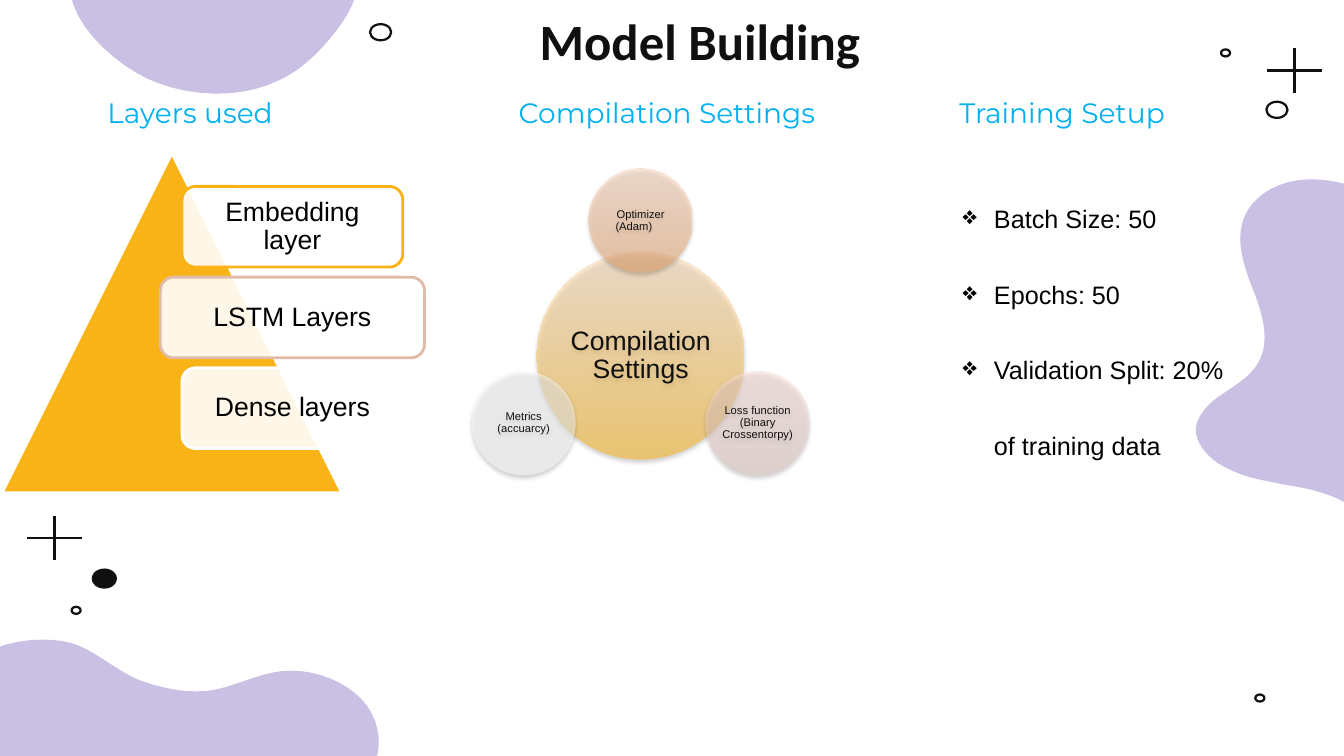
from dataclasses import dataclass
from math import cos, radians, sin

from lxml.etree import SubElement
from pptx import Presentation
from pptx.dml.color import RGBColor
from pptx.enum.shapes import MSO_CONNECTOR, MSO_SHAPE
from pptx.enum.text import MSO_ANCHOR, MSO_AUTO_SIZE, PP_ALIGN
from pptx.oxml.ns import qn
from pptx.util import Inches, Pt

COLUMNS, ROWS = 13.33, 7.5  # the grid has cells of one inch


@dataclass(frozen=True)
class Theme:
    ink: str = "111010"
    black: str = "000000"
    white: str = "FFFFFF"
    lilac: str = "CAC0E4"
    heading: str = "00B0F0"
    amber: str = "FAB316"
    rose: str = "E0BBA7"
    hub: tuple = ("FFB511", "FFDDBA")
    optimizer: tuple = ("F2AA6E", "FFD8BE")
    loss: tuple = ("E8CEC7", "FFE2DA")
    title_size: float = 36.3
    heading_size: float = 20
    label_size: float = 19
    body_size: float = 18
    small_size: float = 8
    stroke: float = 1.6
    border: float = 2
    title_font: str = "Calibri"
    heading_font: str = "Montserrat"
    body_font: str = "Arial"


@dataclass(frozen=True)
class Box:
    left: float
    top: float
    width: float
    height: float

    def inner(self, left, top, width, height):
        return Box(self.left + left, self.top + top, width, height)

    def lengths(self):
        return [Inches(value) for value in (self.left, self.top, self.width, self.height)]


THEME = Theme()


def rgb(value):
    return RGBColor.from_string(value)


def add_text(paragraph, text, size, font, color, bold=False):
    run = paragraph.add_run()
    run.text = text
    run.font.size, run.font.name, run.font.bold = Pt(size), font, bold
    run.font.color.rgb = rgb(color)


def set_margins(frame, inches):
    frame.margin_left = frame.margin_right = Inches(inches)
    frame.margin_top = frame.margin_bottom = Inches(inches)


def add_plain_shape(slide, kind, box, fill=None, line=None, width=0):
    shape = slide.shapes.add_shape(kind, *box.lengths())
    shape.shadow.inherit = False
    if fill:
        shape.fill.solid()
        shape.fill.fore_color.rgb = rgb(fill)
    else:
        shape.fill.background()
    if line:
        shape.line.color.rgb = rgb(line)
        shape.line.width = Pt(width)
    else:
        shape.line.fill.background()
    return shape


def set_opacity(shape, percent):
    fill = shape._element.spPr.find(qn("a:gradFill"))
    if fill is None:
        fill = shape._element.spPr.find(qn("a:solidFill"))
    for color in fill.iter(qn("a:srgbClr")):
        SubElement(color, qn("a:alpha"), val=str(percent * 1000))


def label(shape, text, size, color, margin):
    frame = shape.text_frame
    frame.word_wrap, frame.vertical_anchor = True, MSO_ANCHOR.MIDDLE
    set_margins(frame, margin)
    paragraph = frame.paragraphs[0]
    paragraph.alignment, paragraph.line_spacing = PP_ALIGN.CENTER, 0.9
    add_text(paragraph, text, size, THEME.body_font, color)


# Background decoration
def add_blob(slide, start, curves, steps=10):
    points, here = [], start
    for x1, y1, x2, y2, x3, y3 in curves:
        for step in range(1, steps + 1):
            t = step / steps
            weights = ((1 - t) ** 3, 3 * t * (1 - t) ** 2, 3 * t * t * (1 - t), t ** 3)
            xs, ys = (here[0], x1, x2, x3), (here[1], y1, y2, y3)
            points.append(tuple(Inches(sum(w * v for w, v in zip(weights, axis))) for axis in (xs, ys)))
        here = (x3, y3)
    builder = slide.shapes.build_freeform(Inches(start[0]), Inches(start[1]), scale=1.0)
    builder.add_line_segments(points, close=True)
    blob = builder.convert_to_shape()
    blob.shadow.inherit = False
    blob.fill.solid()
    blob.fill.fore_color.rgb = rgb(THEME.lilac)
    blob.line.fill.background()


def add_cross(slide, x, y, width=0.55, height=0.44):
    for dx, dy in ((width / 2, 0), (0, height / 2)):
        ends = [Inches(value) for value in (x - dx, y - dy, x + dx, y + dy)]
        line = slide.shapes.add_connector(MSO_CONNECTOR.STRAIGHT, *ends)
        line.line.color.rgb = rgb(THEME.ink)
        line.line.width = Pt(THEME.stroke)
        SubElement(line._element.spPr, qn("a:effectLst"))


def add_decoration(slide, box):
    add_blob(slide, (1.46, 0.78), [
        (1.85, 0.96, 2.37, 0.99, 2.76, 0.8), (2.96, 0.71, 3.12, 0.56, 3.25, 0.41),
        (3.45, 0.18, 3.8, -0.33, 3.24, -0.37), (3.08, -0.38, 2.56, -0.43, 2.03, -0.45),
        (1.39, -0.46, 0.73, -0.42, 0.7, -0.19), (0.65, 0.18, 1.09, 0.6, 1.46, 0.78)])
    add_blob(slide, (14.12, 3.2), [
        (14.1, 2.96, 14.16, 2.71, 14.09, 2.48), (14.03, 2.28, 13.89, 2.1, 13.69, 1.97),
        (13.49, 1.85, 13.21, 1.77, 12.97, 1.78), (12.65, 1.79, 12.38, 1.97, 12.32, 2.22),
        (12.26, 2.45, 12.36, 2.7, 12.45, 2.93), (12.54, 3.17, 12.6, 3.43, 12.46, 3.63),
        (12.38, 3.75, 12.24, 3.83, 12.11, 3.92), (11.99, 4, 11.87, 4.12, 11.86, 4.26),
        (11.86, 4.41, 12, 4.57, 12.18, 4.65), (12.35, 4.74, 12.55, 4.77, 12.75, 4.81),
        (12.94, 4.84, 13.14, 4.88, 13.31, 4.97), (13.43, 5.03, 13.53, 5.12, 13.64, 5.2),
        (13.74, 5.27, 13.86, 5.35, 14, 5.37), (14.14, 5.4, 14.29, 5.36, 14.35, 5.26),
        (14.52, 4.95, 14.59, 4.58, 14.47, 4.24), (14.34, 3.89, 14.15, 3.55, 14.12, 3.2)])
    add_blob(slide, (2.78, 6.66), [
        (3.11, 6.62, 3.47, 6.77, 3.64, 7), (3.81, 7.24, 3.79, 7.55, 3.61, 7.76),
        (3.43, 7.98, 3.09, 8.1, 2.75, 8.08), (2.47, 8.06, 2.21, 7.95, 1.93, 7.92),
        (1.4, 7.88, 0.9, 8.13, 0.37, 8.07), (-0.04, 8.03, -0.42, 7.78, -0.56, 7.46),
        (-0.7, 7.15, -0.59, 6.78, -0.29, 6.56), (-0.06, 6.39, 0.3, 6.31, 0.62, 6.36),
        (0.9, 6.4, 1.13, 6.65, 1.39, 6.75), (1.61, 6.83, 1.86, 6.88, 2.09, 6.85),
        (2.33, 6.81, 2.54, 6.69, 2.78, 6.66)])
    small, large = (0.09, 0.07), (0.21, 0.16)
    for left, top, size in ((12.11, 0.49, small), (12.45, 6.89, small), (0.71, 6.02, small),
                            (3.67, 0.24, large), (12.56, 1.01, large)):
        add_plain_shape(slide, MSO_SHAPE.OVAL, box.inner(left, top, *size), line=THEME.ink, width=THEME.stroke)
    add_plain_shape(slide, MSO_SHAPE.OVAL, box.inner(0.91, 5.64, 0.25, 0.2), THEME.ink)
    for x, y in ((12.84, 0.7), (0.54, 5.34)):
        add_cross(slide, x, y)


# Title and column headings
def add_title(slide, box):
    title = slide.shapes.title
    title.left, title.top, title.width, title.height = box.lengths()
    frame = title.text_frame
    set_margins(frame, 0.12)
    frame.vertical_anchor, frame.auto_size = MSO_ANCHOR.TOP, MSO_AUTO_SIZE.NONE
    paragraph = frame.paragraphs[0]
    paragraph.alignment = PP_ALIGN.CENTER
    add_text(paragraph, "Model Building", THEME.title_size, THEME.title_font, THEME.ink, bold=True)


def add_heading(slide, box, text):
    frame = slide.shapes.add_textbox(*box.lengths()).text_frame
    frame.word_wrap = True
    paragraph = frame.paragraphs[0]
    paragraph.alignment = PP_ALIGN.CENTER
    add_text(paragraph, text, THEME.heading_size, THEME.heading_font, THEME.heading)


# Pyramid of layers
def add_layers(slide, box):
    add_plain_shape(slide, MSO_SHAPE.ISOSCELES_TRIANGLE, box, THEME.amber, THEME.white, THEME.border)
    layers = (("Embedding layer", 2.19, THEME.amber), ("LSTM Layers", 2.62, THEME.rose),
              ("Dense layers", 2.19, THEME.white))
    for row, (text, width, border) in enumerate(layers):
        place = box.inner(2.88 - width / 2, 0.33 + 0.9 * row, width, 0.8)
        card = add_plain_shape(slide, MSO_SHAPE.ROUNDED_RECTANGLE, place, THEME.white, border, THEME.border)
        set_opacity(card, 90)
        label(card, text, THEME.label_size, THEME.black, 0.08)


# Hub with three satellites
def add_bubble(slide, x, y, diameter, text, size, colors, margin):
    place = Box(x - diameter / 2, y - diameter / 2, diameter, diameter)
    bubble = add_plain_shape(slide, MSO_SHAPE.OVAL, place, THEME.white)
    if colors:
        bubble.fill.gradient()
        bubble.fill.gradient_angle = 90
        for stop, color in zip(bubble.fill.gradient_stops, colors):
            stop.color.rgb = rgb(color)
    set_opacity(bubble, 50)
    effects = bubble._element.spPr.find(qn("a:effectLst"))
    shadow = SubElement(effects, qn("a:outerShdw"), blurRad=str(Pt(3.1)), dist=str(Pt(1.8)),
                        dir="5400000", rotWithShape="0")
    shade = SubElement(shadow, qn("a:srgbClr"), val=THEME.black)
    SubElement(shade, qn("a:alpha"), val="35000")
    label(bubble, text, size, THEME.ink, margin)


def add_compilation(slide, box):
    x, y = box.left + box.width / 2, box.top + 1.86
    add_bubble(slide, x, y, 2.06, "Compilation Settings", THEME.label_size, THEME.hub, 0.03)
    satellites = (("Optimizer (Adam) \t", THEME.optimizer), ("Loss function (Binary Crossentorpy)", THEME.loss),
                  ("Metrics (accuarcy)", None))
    for index, (text, colors) in enumerate(satellites):
        angle = radians(-90 + 120 * index)
        add_bubble(slide, x + 1.34 * cos(angle), y + 1.34 * sin(angle), 1.03, text,
                   THEME.small_size, colors, 0.01)


# Bulleted training settings
def add_training(slide, box):
    frame = slide.shapes.add_textbox(*box.lengths()).text_frame
    frame.word_wrap = True
    for index, text in enumerate(("Batch Size: 50", "Epochs: 50", "Validation Split: 20% of training data")):
        paragraph = frame.add_paragraph() if index else frame.paragraphs[0]
        properties = paragraph._p.get_or_add_pPr()
        properties.set("marL", str(Inches(0.31)))
        properties.set("indent", str(-Inches(0.31)))
        SubElement(SubElement(properties, qn("a:buClr")), qn("a:srgbClr"), val=THEME.black)
        SubElement(properties, qn("a:buChar"), char="❖")
        paragraph.line_spacing = 2.5
        add_text(paragraph, text, THEME.body_size, THEME.body_font, THEME.black)


def main():
    presentation = Presentation()
    presentation.slide_width, presentation.slide_height = Inches(COLUMNS), Inches(ROWS)
    slide = presentation.slides.add_slide(presentation.slide_layouts[5])
    canvas = Box(0, 0, COLUMNS, ROWS)
    add_decoration(slide, canvas)
    add_title(slide, canvas.inner(2.48, -0.02, 8.93, 0.84))
    for text, left, width in (("Layers used", 0.54, 2.69), ("Compilation Settings", 4.61, 4.01),
                              ("Training Setup", 8.53, 4.01)):
        add_heading(slide, canvas.inner(left, 0.9, width, 0.44), text)
    add_layers(slide, canvas.inner(0.02, 1.52, 3.37, 3.37))
    add_compilation(slide, canvas.inner(4.68, 1.67, 3.35, 3.04))
    add_training(slide, canvas.inner(9.45, 1.52, 2.92, 3))
    presentation.save("out.pptx")


if __name__ == "__main__":
    main()
